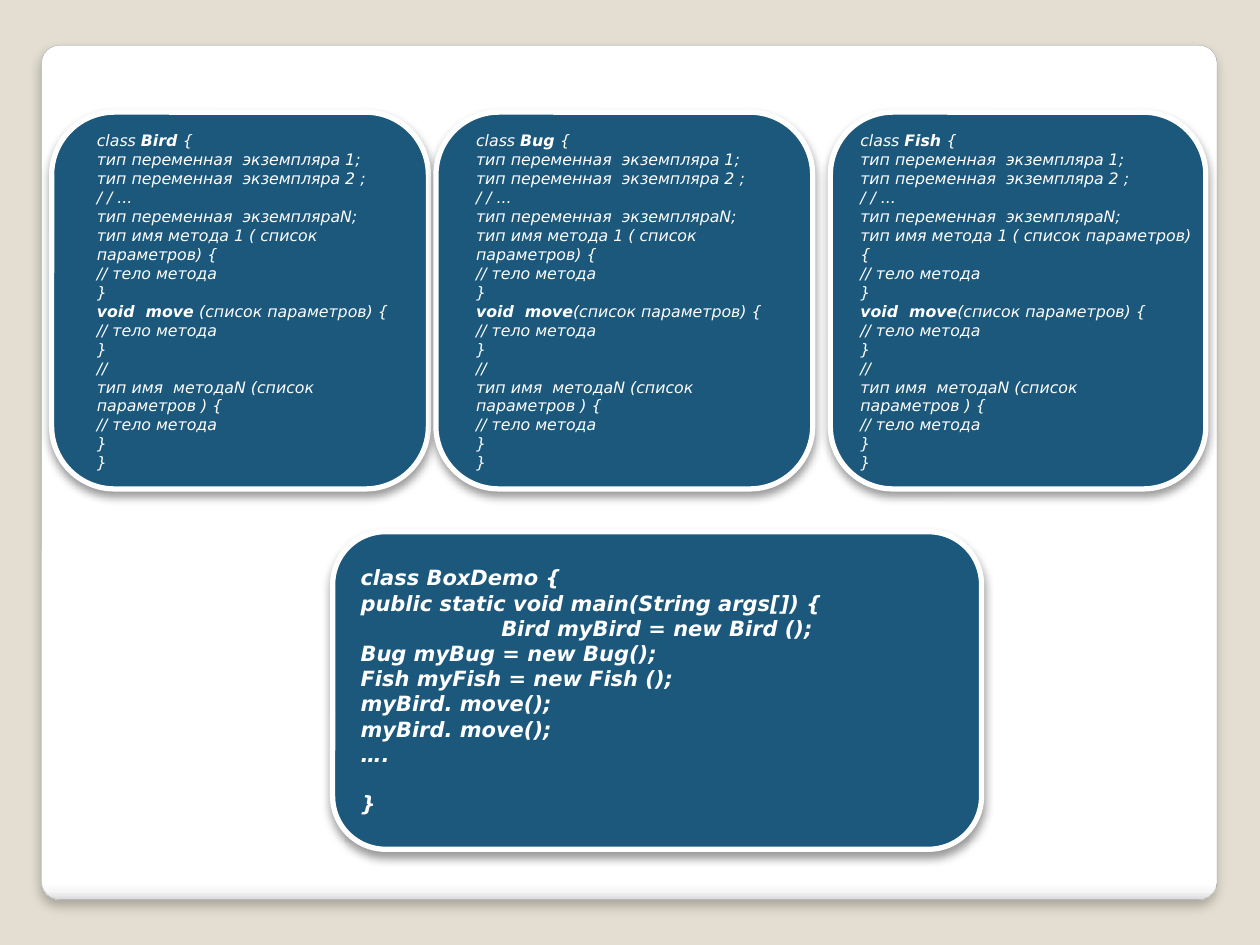
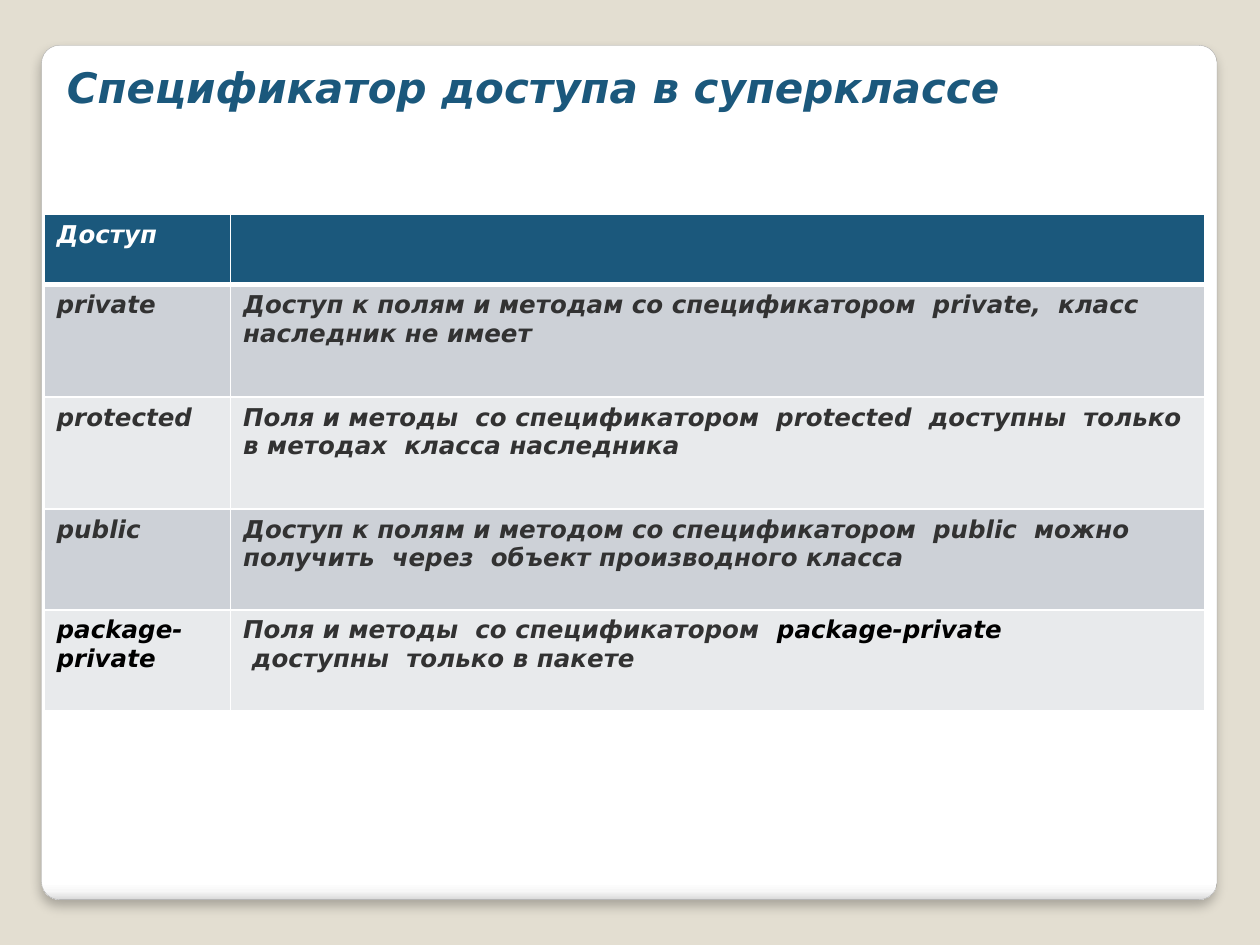
from pptx import Presentation
from pptx.dml.color import RGBColor
from pptx.enum.shapes import MSO_SHAPE as Shape
from pptx.enum.text import MSO_ANCHOR as Anchor, MSO_AUTO_SIZE as AutoSize, PP_ALIGN as Align
from pptx.oxml import parse_xml
from pptx.oxml.ns import nsdecls, qn
from pptx.util import Inches, Pt

SAND = RGBColor(0xE3, 0xDE, 0xD1)
BLUE = RGBColor(0x1B, 0x58, 0x7C)
WHITE = RGBColor(0xFF, 0xFF, 0xFF)
BLACK = RGBColor(0, 0, 0)
DARK = RGBColor(0x32, 0x32, 0x32)
EDGE = RGBColor(0xA4, 0xA4, 0xA4)
BANDS = [RGBColor(0xCD, 0xD1, 0xD7), RGBColor(0xE8, 0xEA, 0xEC)]
PANEL_STOPS = [(0, WHITE), (98, WHITE), (99, RGBColor(0xF7, 0xF7, 0xF7)),
               (100, RGBColor(0xDA, 0xDA, 0xDA))]

BASE = {"name": "DejaVu Sans", "italic": True}
CARD_FONT = {**BASE, "size": Pt(9), "bold": False, "color": WHITE}
DEMO_FONT = {**BASE, "size": Pt(12), "bold": True, "color": WHITE}
TITLE_FONT = {**BASE, "size": Pt(24), "bold": True, "color": BLUE}
TABLE_FONT = {**BASE, "size": Pt(14), "bold": True, "color": DARK}

CARD_TOP, CARD_HEIGHT = 0.89, 2.99
TEXT_TOP, TEXT_HEIGHT = 0.99, 2.83
CARDS = [
    {"name": "Вird", "move": "|void  move |", "card": (0.41, 2.99), "text": (0.67, 2.68)},
    {"name": "Bug", "move": "|void  move|", "card": (3.46, 2.99), "text": (3.68, 2.78)},
    {"name": "Fish", "move": "|void  move|", "card": (6.59, 2.98), "text": (6.73, 2.84)},
]
CARD_LINES = [
    "class |{name} |{{",
    "тип переменная  экземпляра 1;",
    "тип переменная  экземпляра 2 ;",
    "/ / ...",
    "тип переменная  экземпляраN;",
    "тип имя метода 1 ( список параметров) {{",
    "// тело метода",
    "}}",
    "{move}(список параметров) {{",
    "// тело метода",
    "}}",
    "//",
    "тип имя  методаN (список  параметров ) {{",
    "// тело метода",
    "}}",
    "}}",
]
DEMO_LINES = [
    "class BoxDemo {",
    "public static void main(String args[]) {",
    "Вird mуВird = new Вird ();",
    "Bug mуBug = new Bug();",
    "Fish mуFish = new Fish ();",
    "mуВird. move();",
    "mуВird. move();",
    "….",
    "}",
]
TITLE = "Спецификатор доступа в суперклассе"
ACCESS_ROWS = [
    (["Доступ"], []),
    (["private"],
     ["Доступ к полям и методам со спецификатором  private,  класс  наследник не имеет"]),
    (["protected"],
     ["Поля и методы  со спецификатором  protected  доступны  только в методах  класса наследника"]),
    (["public"],
     ["Доступ к полям и методом со спецификатором  public  можно получить  через  объект производного класса"]),
    (["|package-private|"],
     ["Поля и методы  со спецификатором  |package-private|", " доступны  только в пакете"]),
]
COLUMN_WIDTHS = [1.48, 7.73]
ROW_HEIGHTS = [0.56, 0.89, 0.89, 0.8, 0.8]


def place(left, top, width, height):
    return [Inches(value) for value in (left, top, width, height)]


def write_text(frame, lines, font, accent):
    frame.word_wrap = True
    for index, line in enumerate(lines):
        para = frame.paragraphs[0] if index == 0 else frame.add_paragraph()
        para.alignment = Align.LEFT
        for part, text in enumerate(line.split("|")):
            if not text:
                continue
            span = para.add_run()
            span.text = text
            look = {**font, **accent} if part % 2 else font
            for key, value in look.items():
                if key == "color":
                    span.font.color.rgb = value
                else:
                    setattr(span.font, key, value)


def add_rounded(page, spot, edge, edge_width, shadow):
    box = page.shapes.add_shape(Shape.ROUNDED_RECTANGLE, *place(*spot))
    box.fill.solid()
    box.fill.fore_color.rgb = BLUE
    box.line.color.rgb = edge
    box.line.width = Pt(edge_width)
    box.shadow.inherit = False
    opacity, blur, distance = shadow
    box.element.spPr.find(qn("a:effectLst")).append(parse_xml(
        f'<a:outerShdw {nsdecls("a")} blurRad="{Pt(blur)}" dist="{Pt(distance)}" dir="5400000" '
        f'algn="t" rotWithShape="0"><a:srgbClr val="{BLACK}"><a:alpha val="{opacity * 1000}"/>'
        '</a:srgbClr></a:outerShdw>'))
    return box


def add_card(page, spot):
    return add_rounded(page, spot, WHITE, 3, (40, 5.2, 3))


def dress_master(deck, page):
    master = deck.slide_master
    master.background.fill.solid()
    master.background.fill.fore_color.rgb = SAND
    panel = add_rounded(page, (0.33, 0.36, 9.33, 6.78), EDGE, 0.16, (25, 6, 4))
    panel.adjustments[0] = 0.021
    panel.fill.gradient()
    panel.fill.gradient_angle = 270
    stops = panel.element.spPr.find(qn("a:gradFill")).find(qn("a:gsLst"))
    for stop in list(stops):
        stops.remove(stop)
    for position, color in PANEL_STOPS:
        stops.append(parse_xml(f'<a:gs {nsdecls("a")} pos="{position * 1000}">'
                               f'<a:srgbClr val="{color}"/></a:gs>'))
    master.shapes.element.insert(2, panel.element)


def border_cell(cell, widths):
    props = cell._tc.get_or_add_tcPr()
    for index, (side, width) in enumerate(widths.items()):
        props.insert(index, parse_xml(
            f'<a:ln{side} {nsdecls("a")} w="{Pt(width)}"><a:solidFill>'
            f'<a:srgbClr val="{WHITE}"/></a:solidFill></a:ln{side}>'))


def build_classes(page):
    for card in CARDS:
        left, width = card["card"]
        add_card(page, (left, CARD_TOP, width, CARD_HEIGHT))
        left, width = card["text"]
        box = page.shapes.add_textbox(*place(left, TEXT_TOP, width, TEXT_HEIGHT))
        lines = [line.format(name=card["name"], move=card["move"]) for line in CARD_LINES]
        write_text(box.text_frame, lines, CARD_FONT, {"bold": True})

    demo = add_card(page, (2.64, 4.22, 5.15, 2.52)).text_frame
    demo.vertical_anchor = Anchor.MIDDLE
    write_text(demo, DEMO_LINES, DEMO_FONT, {})
    demo.paragraphs[2].alignment = Align.CENTER
    demo.paragraphs[-1].space_before = Pt(14)


def build_access(page):
    title = page.shapes.title
    title.left, title.top, title.width, title.height = place(0.43, 0.44, 8, 0.5)
    title.text_frame.vertical_anchor = Anchor.TOP
    title.text_frame.auto_size = AutoSize.NONE
    write_text(title.text_frame, [TITLE], TITLE_FONT, {})

    spot = place(0.35, 1.7, sum(COLUMN_WIDTHS), sum(ROW_HEIGHTS))
    table = page.shapes.add_table(len(ACCESS_ROWS), len(COLUMN_WIDTHS), *spot).table
    for column, width in zip(table.columns, COLUMN_WIDTHS):
        column.width = Inches(width)
    for row, height in zip(table.rows, ROW_HEIGHTS):
        row.height = Inches(height)
    for r, texts in enumerate(ACCESS_ROWS):
        font = TABLE_FONT if r else {**TABLE_FONT, "color": WHITE}
        for c, lines in enumerate(texts):
            cell = table.cell(r, c)
            cell.fill.solid()
            cell.fill.fore_color.rgb = BANDS[(r - 1) % 2] if r else BLUE
            border_cell(cell, {"L": 1, "R": 1, "T": 3 if r == 1 else 1, "B": 1 if r else 3})
            write_text(cell.text_frame, lines, font, {"color": BLACK})


def main():
    deck = Presentation()
    deck.slide_width, deck.slide_height = Inches(10), Inches(7.5)
    title_only, blank = deck.slide_layouts[5], deck.slide_layouts[6]
    classes = deck.slides.add_slide(blank)
    dress_master(deck, classes)
    build_classes(classes)
    build_access(deck.slides.add_slide(title_only))
    deck.save("out.pptx")


if __name__ == "__main__":
    main()
